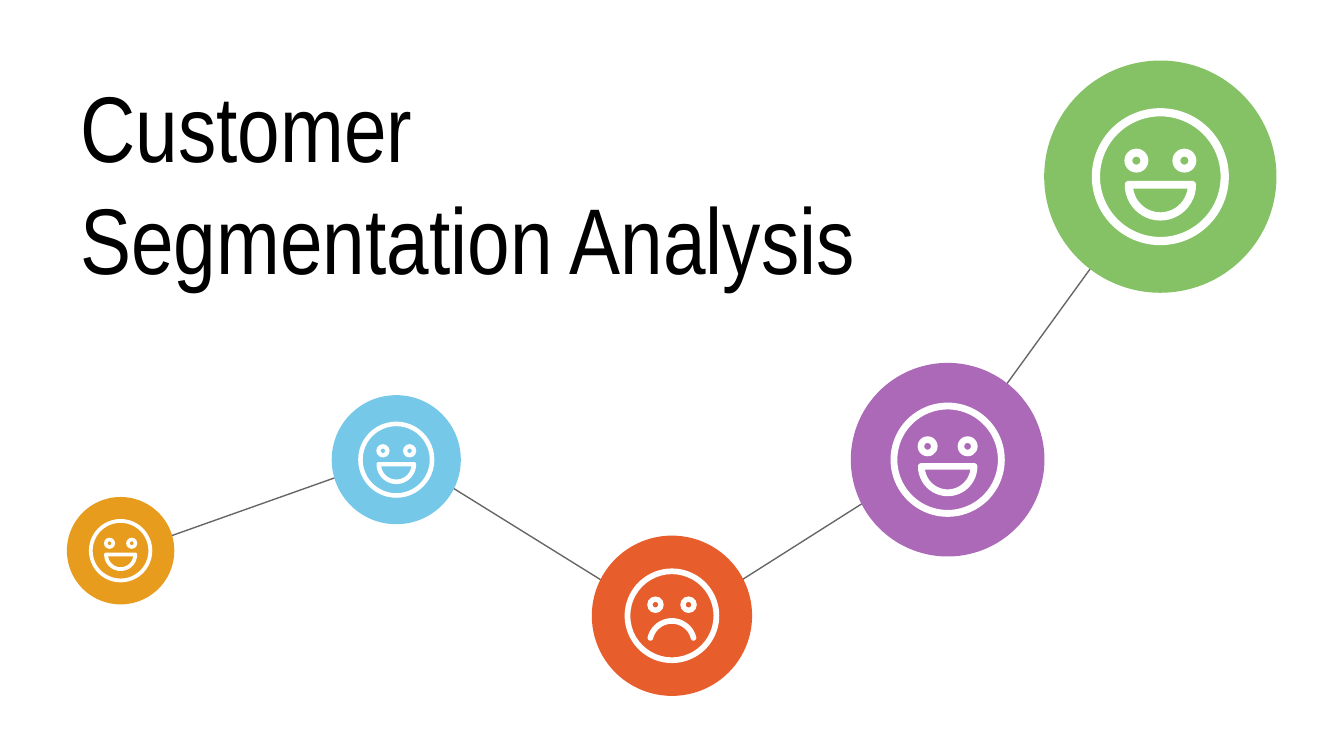
from math import cos, radians, sin

from lxml.etree import SubElement
from pptx import Presentation
from pptx.dml.color import RGBColor
from pptx.enum.shapes import MSO_CONNECTOR, MSO_SHAPE
from pptx.enum.text import MSO_ANCHOR, MSO_AUTO_SIZE, PP_ALIGN
from pptx.oxml.ns import qn
from pptx.util import Cm, Pt

TITLE = "Customer Segmentation Analysis"
COLORS = {
    "orange": "E89C1E", "blue": "76C8E8", "red": "E85D2C", "purple": "AB69B8",
    "green": "85C265", "white": "FFFFFF", "black": "000000", "gray": "666666",
}
CUSTOMERS = [
    ("orange", 2.28, 10.41, 2.03, "happy"),
    ("blue", 7.49, 8.69, 2.44, "happy"),
    ("red", 12.7, 11.64, 3.03, "sad"),
    ("purple", 17.91, 8.69, 3.66, "happy"),
    ("green", 21.93, 3.34, 4.39, "happy"),
]
LINKS = [
    (21.67, 3.61, 18.14, 8.48),
    (17.6, 8.69, 12.95, 11.64),
    (12.45, 11.64, 7.7, 8.69),
    (7.29, 8.69, 2.44, 10.41),
]
FACE_RATIO = 0.59


def color(name):
    """Return the named colour."""
    return RGBColor.from_string(COLORS[name])


def arc(center_x, center_y, radius, start, end, steps=24):
    """Return points along an arc, with angles in degrees clockwise from the right."""
    angles = [radians(start + (end - start) * step / steps) for step in range(steps + 1)]
    return [(center_x + radius * cos(angle), center_y + radius * sin(angle)) for angle in angles]


def happy_mouth():
    """Return the outer and inner outlines of an open smile, in face diameters."""
    outer = (arc(0, 0.06, 0.26, 0, 180) + arc(-0.23, 0.06, 0.03, 180, 270, 6)
             + arc(0.23, 0.06, 0.03, 270, 360, 6))
    return [outer, arc(0, 0.06, 0.2, 8, 172)]


def sad_mouth():
    """Return the outline of a frown with round ends, in face diameters."""
    left, right = arc(0, 0.29, 0.235, 194, 346, 1)
    outline = (arc(0, 0.29, 0.265, 194, 346) + arc(*right, 0.03, -14, 166, 10)
               + arc(0, 0.29, 0.205, 346, 194) + arc(*left, 0.03, 14, 194, 10))
    return [outline]


MOUTHS = {"happy": happy_mouth(), "sad": sad_mouth()}


def paint(shape, fill):
    """Give a shape a plain fill without line or shadow."""
    shape.shadow.inherit = False
    shape.fill.solid()
    shape.fill.fore_color.rgb = color(fill)
    shape.line.fill.background()


def add_round(shapes, center_x, center_y, diameter, fill, ring=None):
    """Add a disc, or a ring of the given relative thickness."""
    kind = MSO_SHAPE.DONUT if ring else MSO_SHAPE.OVAL
    shape = shapes.add_shape(kind, Cm(center_x - diameter / 2), Cm(center_y - diameter / 2),
                             Cm(diameter), Cm(diameter))
    if ring:
        shape.adjustments[0] = ring
    paint(shape, fill)


def add_face(shapes, center_x, center_y, size, mood):
    """Add a face ring, two eyes and a mouth."""
    add_round(shapes, center_x, center_y, size, "white", ring=0.06)
    for side in (-1, 1):
        add_round(shapes, center_x + side * 0.175 * size, center_y - 0.117 * size,
                  0.175 * size, "white", ring=0.33)
    contours = [[(Cm(center_x + x * size), Cm(center_y + y * size)) for x, y in contour]
                for contour in MOUTHS[mood]]
    builder = shapes.build_freeform(*contours[0][0])
    for index, contour in enumerate(contours):
        if index:
            builder.move_to(*contour[0])
        builder.add_line_segments(contour[1:], close=True)
    paint(builder.convert_to_shape(), "white")


def add_link(shapes, points):
    """Add a thin line between two customers."""
    connector = shapes.add_connector(MSO_CONNECTOR.STRAIGHT, *map(Cm, points))
    connector.line.color.rgb = color("gray")
    connector.line.width = Pt(0.75)
    SubElement(connector._element.spPr, qn("a:effectLst"))


def write_text(shape, text, *, font, size, fill, align, anchor):
    """Write formatted text into a shape."""
    frame = shape.text_frame
    frame.word_wrap = True
    frame.auto_size = MSO_AUTO_SIZE.NONE
    frame.vertical_anchor = anchor
    frame.margin_left = frame.margin_right = frame.margin_top = frame.margin_bottom = Cm(0.25)
    paragraph = frame.paragraphs[0]
    paragraph.alignment = align
    run = paragraph.add_run()
    run.text = text
    run.font.name = font
    run.font.size = Pt(size)
    run.font.color.rgb = color(fill)


def main():
    """Build and save the slide."""
    presentation = Presentation()
    presentation.slide_width, presentation.slide_height = Cm(25.4), Cm(14.29)
    slide = presentation.slides.add_slide(presentation.slide_layouts[5])
    title = slide.shapes.title
    title.left, title.top, title.width, title.height = Cm(1.27), Cm(1.14), Cm(16), Cm(4.57)
    write_text(title, TITLE, font="Arial Narrow", size=50, fill="black",
               align=PP_ALIGN.LEFT, anchor=MSO_ANCHOR.MIDDLE)
    shapes = slide.shapes.add_group_shape().shapes
    for points in LINKS:
        add_link(shapes, points)
    for fill, center_x, center_y, diameter, mood in CUSTOMERS:
        add_round(shapes, center_x, center_y, diameter, fill)
        add_face(shapes, center_x, center_y, diameter * FACE_RATIO, mood)
    presentation.save("out.pptx")


if __name__ == "__main__":
    main()
